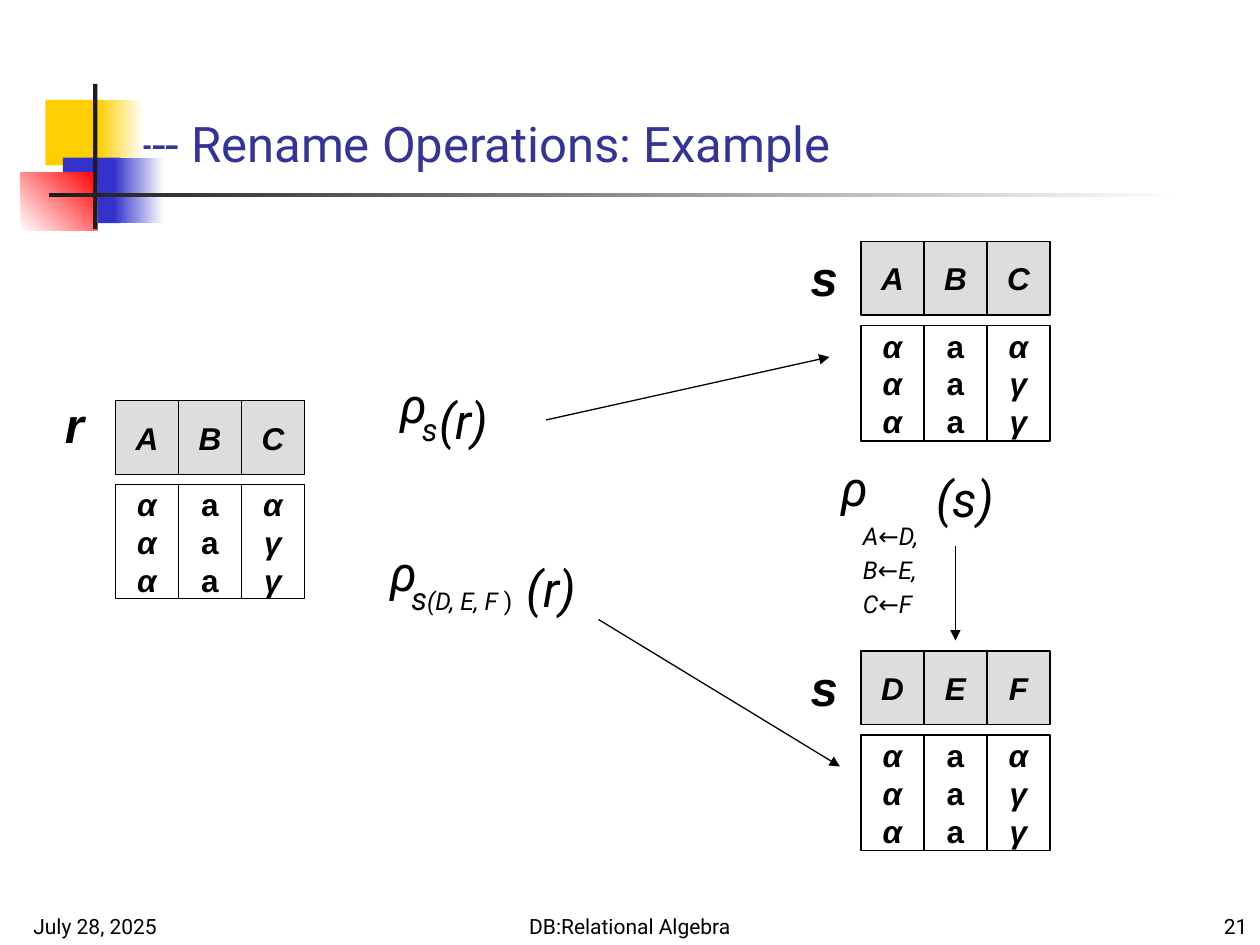
from lxml import etree
from pptx import Presentation
from pptx.dml.color import RGBColor
from pptx.enum.shapes import MSO_CONNECTOR, MSO_SHAPE
from pptx.enum.text import MSO_ANCHOR, MSO_AUTO_SIZE, PP_ALIGN
from pptx.oxml.ns import qn
from pptx.util import Pt

RECT = MSO_SHAPE.RECTANGLE
LINE = MSO_CONNECTOR.STRAIGHT
TOP, MID, LOW = MSO_ANCHOR.TOP, MSO_ANCHOR.MIDDLE, MSO_ANCHOR.BOTTOM
LEFT, MID_X, RIGHT = PP_ALIGN.LEFT, PP_ALIGN.CENTER, PP_ALIGN.RIGHT
HEX = {
    "gold": "FFCF01", "blue": "3333CC", "red": "FF0000", "dark": "1C1C1C",
    "white": "FFFFFF", "black": "000000", "title": "333399", "grey": "DDDDDD",
}
INK = {name: RGBColor.from_string(code) for name, code in HEX.items()}

deck = Presentation()
deck.slide_width, deck.slide_height = Pt(720), Pt(540)
slide = deck.slides.add_slide(deck.slide_layouts[5])
shapes = slide.shapes


def write(shape, text, size, font="Roboto", ink="black", bold=False,
          italic=False, align=LEFT, anchor=TOP):
    """Fill a shape with text in one style, one paragraph per line."""
    frame = shape.text_frame
    frame.text = text
    frame.word_wrap = True
    frame.auto_size = MSO_AUTO_SIZE.NONE
    frame.vertical_anchor = anchor
    for para in frame.paragraphs:
        para.alignment = align
        for run in para.runs:
            run.font.size, run.font.name = Pt(size), font
            run.font.bold, run.font.italic = bold, italic
            run.font.color.rgb = INK[ink]
    return frame


def box(x, y, w, h, fill, end=None, angle=0):
    """Add a borderless rectangle, with a gradient when end is given."""
    shape = shapes.add_shape(RECT, Pt(x), Pt(y), Pt(w), Pt(h))
    shape.shadow.inherit = False
    shape.line.fill.background()
    if end:
        shape.fill.gradient()
        shape.fill.gradient_angle = angle
        for stop, ink in zip(shape.fill.gradient_stops, (fill, end)):
            stop.color.rgb = INK[ink]
    else:
        shape.fill.solid()
        shape.fill.fore_color.rgb = INK[fill]
    return shape


# Corner decoration
box(26, 57, 34.5, 37.5, "gold")
box(56, 57, 26, 37.5, "gold", "white")
box(36, 90, 33, 37.5, "blue")
box(65, 90, 28.5, 37.5, "blue", "white")
box(12, 98.5, 44, 33.5, "white", "red", 45)
box(53.25, 48, 2.5, 83, "dark")
box(28, 110.25, 648, 2.5, "dark", "white")

# Title and footer
title = shapes.title
title.left, title.top, title.width, title.height = Pt(72), Pt(54), Pt(613.5), Pt(48)
write(title, "--- Rename Operations: Example", 28, ink="title", anchor=LOW)

for x, w, text, align in (
    (12, 150, "July 28, 2025", LEFT),
    (246, 228, "DB:Relational Algebra", MID_X),
    (570, 150, "21", RIGHT),
):
    foot = shapes.add_textbox(Pt(x), Pt(510), Pt(w), Pt(30))
    write(foot, text, 12, align=align, anchor=LOW)

# Rename expressions
for x, y, w, h, text, size in (
    (216, 306.5, 37.5, 74, "ρ", 28),
    (294, 315.5, 46, 74, "(r)", 28),
    (234, 230.5, 22.5, 62.5, "s", 18),
    (222, 210.5, 37.5, 74, "ρ", 28),
    (244, 219.5, 46, 74, "(r)", 28),
    (486, 294, 54, 65, "A←D,\nB←E,\nC←F", 14),
    (474, 258, 37.5, 41, "ρ", 28),
    (528, 264, 48, 41, "(s)", 28),
):
    part = shapes.add_textbox(Pt(x), Pt(y), Pt(w), Pt(h))
    frame = write(part, text, size, italic=True)
    for para in frame.paragraphs[1:]:
        para.space_before = Pt(2.8)

sub = shapes.add_textbox(Pt(228), Pt(327.5), Pt(84), Pt(62.5))
para = write(sub, "s", 18, italic=True).paragraphs[0]
for text, slant in (("(D, E, F ", True), (")", False)):
    run = para.add_run()
    run.text = text
    run.font.size, run.font.name, run.font.italic = Pt(14), "Roboto", slant
    run.font.color.rgb = INK["black"]

# Relations: label with its place, then grid corner, body height and heads
COLS = ("α\nα\nα", "a\na\na", "α\nγ\nγ")
CELL, HEAD, GAP = 36, 42, 6
for name, name_x, name_y, left, top, tall, heads in (
    ("s", 456, 138, 492, 138, 66, "ABC"),
    ("r", 30, 222, 66, 229, 65, "ABC"),
    ("s", 456, 372, 492, 372, 66, "DEF"),
):
    label = shapes.add_textbox(Pt(name_x), Pt(name_y), Pt(30), Pt(41))
    if name == "r":
        label.width = Pt(25)
    write(label, name, 28, "Arial", bold=True, italic=True, align=MID_X, anchor=MID)
    for i, (head, col) in enumerate(zip(heads, COLS)):
        x = left + i * CELL
        for y, h, fill, text in (
            (top, HEAD, "grey", head),
            (top + HEAD + GAP, tall, "white", col),
        ):
            cell = box(x, y, CELL, h, fill)
            cell.line.color.rgb = INK["black"]
            cell.line.width = Pt(0.75)
            frame = write(cell, text, 18, "Arial", bold=True,
                          italic="a" not in text, align=MID_X, anchor=MID)
            frame.margin_left = frame.margin_right = 0
            frame.margin_top = frame.margin_bottom = 0

# Arrows
for x1, y1, x2, y2 in (
    (312, 240, 474, 204),
    (342, 354, 480, 438),
    (546, 312, 546, 366),
):
    arrow = shapes.add_connector(LINE, Pt(x1), Pt(y1), Pt(x2), Pt(y2))
    arrow.line.color.rgb = INK["black"]
    arrow.line.width = Pt(0.75)
    etree.SubElement(arrow.line._get_or_add_ln(), qn("a:tailEnd"), type="triangle")
    etree.SubElement(arrow._element.spPr, qn("a:effectLst"))

deck.save("out.pptx")
